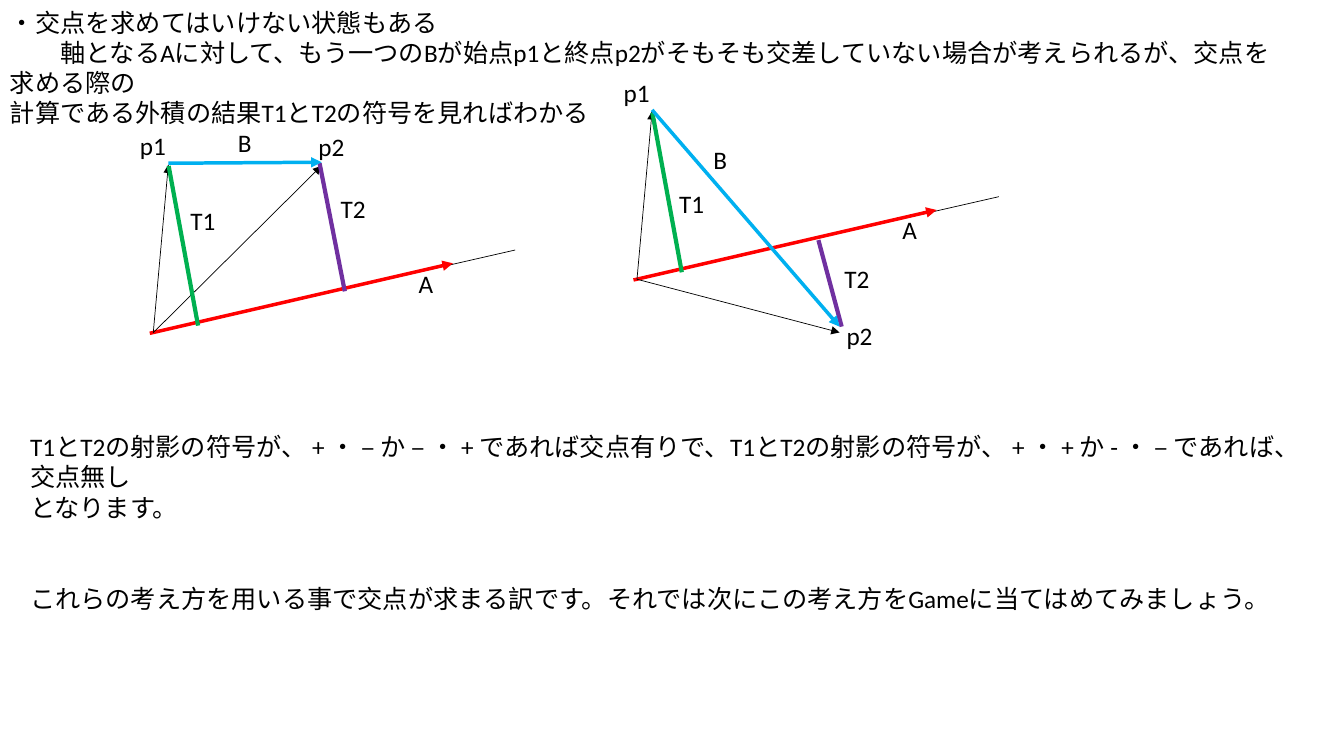
from collections import namedtuple

from lxml import etree
from pptx import Presentation
from pptx.dml.color import RGBColor
from pptx.enum.shapes import MSO_CONNECTOR
from pptx.enum.text import MSO_AUTO_SIZE
from pptx.oxml.ns import qn
from pptx.util import Pt


class Theme:
    font = "Calibri"
    size = Pt(18)
    text = RGBColor(0x00, 0x00, 0x00)
    guide = RGBColor(0x00, 0x00, 0x00)
    axis = RGBColor(0xFF, 0x00, 0x00)
    segment = RGBColor(0x00, 0xB0, 0xF0)
    first_height = RGBColor(0x00, 0xB0, 0x50)
    second_height = RGBColor(0x70, 0x30, 0xA0)
    thin, medium, thick = Pt(0.5), Pt(2.5), Pt(3)


Box = namedtuple("Box", "left top width height")
# Points are offsets from the start of the axis A; each line is a (start, end) pair.
Crossing = namedtuple("Crossing", "to_p2 second_height segment labels")

P1 = (10.8, -121)
P1_GUIDE = ((0, 0), (10.8, -120))
AXIS_GUIDE = ((0, 0), (258.5, -59))
AXIS = ((-2.5, 0.5), (214, -49.5))
FIRST_HEIGHT = ((11, -119), (32, -5))
SHARED_LABELS = {"A": (182.5, -49.7), "p1": (-16.6, -148)}

SAME_SIDE = Crossing(
    to_p2=(120, -119),
    second_height=((118.8, -121), (136.8, -29.5)),
    segment=(P1, (120.2, -121.7)),
    labels={"p2": (110.9, -147.6), "T1": (19.4, -94.3),
            "T2": (126.7, -103), "B": (53.3, -150.5)},
)
OPPOSITE_SIDES = Crossing(
    to_p2=(144.7, 38),
    second_height=((146.2, 33.8), (129.6, -28)),
    segment=(P1, (144.7, 33.8)),
    labels={"p2": (142.6, 25.9), "T1": (23, -68.4),
            "T2": (141.1, -15.1), "B": (47.5, -100)},
)


def add_text(slide, box, lines, wrap=True):
    """Add a text box with one paragraph per line and return its paragraphs."""
    shape = slide.shapes.add_textbox(*(Pt(length) for length in box))
    frame = shape.text_frame
    frame.word_wrap = wrap
    frame.auto_size = MSO_AUTO_SIZE.SHAPE_TO_FIT_TEXT
    frame.text = "\n".join(lines)
    for paragraph in frame.paragraphs:
        for run in paragraph.runs:
            run.font.name = Theme.font
            run.font.size = Theme.size
            run.font.color.rgb = Theme.text
    return frame.paragraphs


def add_line(slide, box, ends, color, width, arrow=False):
    """Draw a line whose ends are offsets from the bottom left of the box."""
    bottom = box.top + box.height
    (x1, y1), (x2, y2) = ends
    line = slide.shapes.add_connector(
        MSO_CONNECTOR.STRAIGHT,
        Pt(box.left + x1), Pt(bottom + y1), Pt(box.left + x2), Pt(bottom + y2))
    line.line.color.rgb = color
    line.line.width = width
    properties = line._element.spPr
    if arrow:
        etree.SubElement(properties.find(qn("a:ln")), qn("a:tailEnd"), type="triangle")
    etree.SubElement(properties, qn("a:effectLst"))


def add_diagram(slide, box, crossing):
    """Draw the axis A, the segment B and the heights T1 and T2 with their labels."""
    add_line(slide, box, AXIS_GUIDE, Theme.guide, Theme.thin)
    add_line(slide, box, AXIS, Theme.axis, Theme.medium, arrow=True)
    for guide in (((0, 0), crossing.to_p2), P1_GUIDE):
        add_line(slide, box, guide, Theme.guide, Theme.thin, arrow=True)
    add_line(slide, box, FIRST_HEIGHT, Theme.first_height, Theme.thick)
    add_line(slide, box, crossing.second_height, Theme.second_height, Theme.thick)
    add_line(slide, box, crossing.segment, Theme.segment, Theme.medium, arrow=True)
    for label, (x, y) in {**SHARED_LABELS, **crossing.labels}.items():
        width = 25 if len(label) == 1 else 33
        place = Box(box.left + x, box.top + box.height + y, width, 29)
        add_text(slide, place, [label], wrap=False)


def add_introduction(slide, box):
    paragraphs = add_text(slide, box, [
        "・交点を求めてはいけない状態もある",
        "軸となるAに対して、もう一つのBが始点p1と終点p2がそもそも交差していない場合が"
        "考えられるが、交点を求める際の",
        "計算である外積の結果T1とT2の符号を見ればわかる",
    ])
    paragraphs[1]._p.get_or_add_pPr().set("indent", str(Pt(36)))


def add_conclusion(slide, box):
    paragraphs = add_text(slide, box, [
        "T1とT2の射影の符号が、 + ・ – か – ・ + であれば交点有りで、"
        "T1とT2の射影の符号が、 + ・ + か - ・ – であれば、交点無し",
        "となります。",
        "これらの考え方を用いる事で交点が求まる訳です。"
        "それでは次にこの考え方をGameに当てはめてみましょう。",
    ])
    paragraphs[-1].space_before = Pt(44)


def main():
    presentation = Presentation()
    presentation.slide_width, presentation.slide_height = Pt(960), Pt(540)
    slide = presentation.slides.add_slide(presentation.slide_layouts[6])
    add_introduction(slide, Box(0, 1.4, 924.5, 73))
    add_diagram(slide, Box(109.5, 117.6, 258.5, 120), SAME_SIDE)
    add_conclusion(slide, Box(14.4, 304.6, 918.7, 117))
    add_diagram(slide, Box(455, 79.5, 258.5, 120), OPPOSITE_SIDES)
    presentation.save("out.pptx")


if __name__ == "__main__":
    main()
